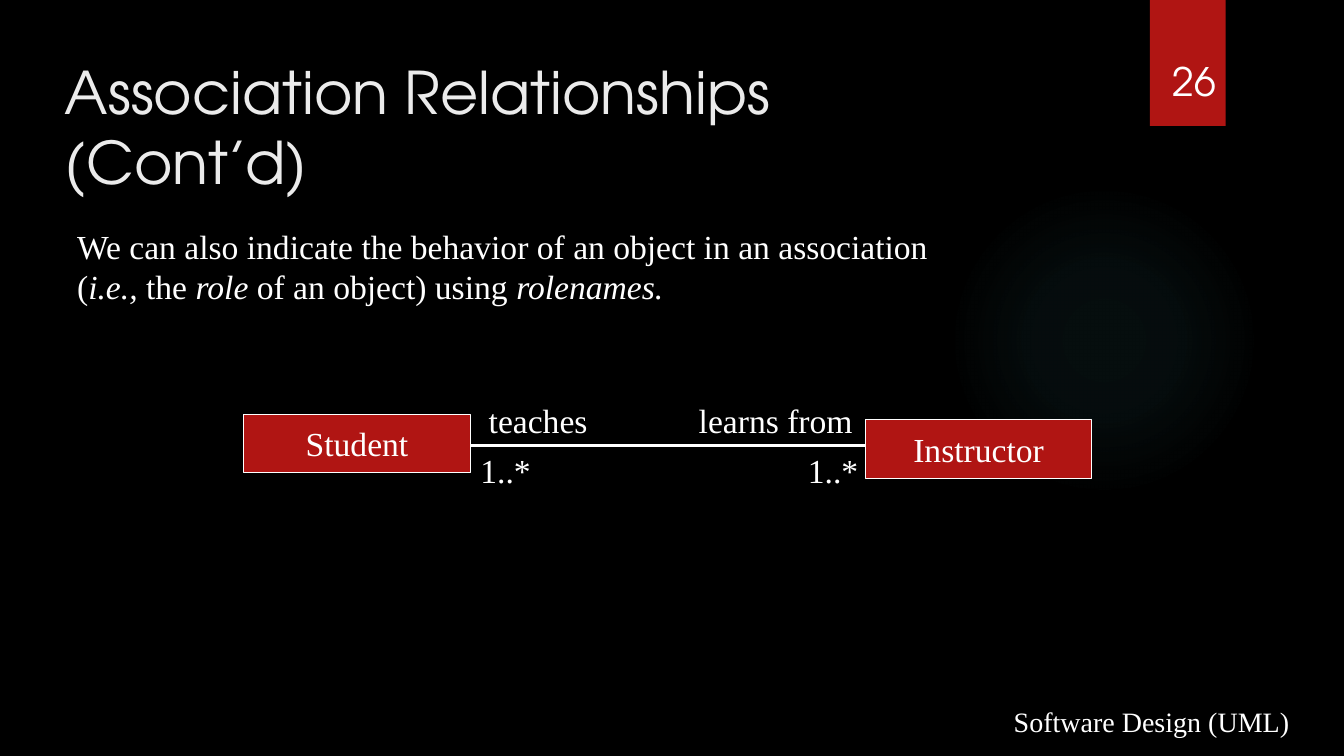
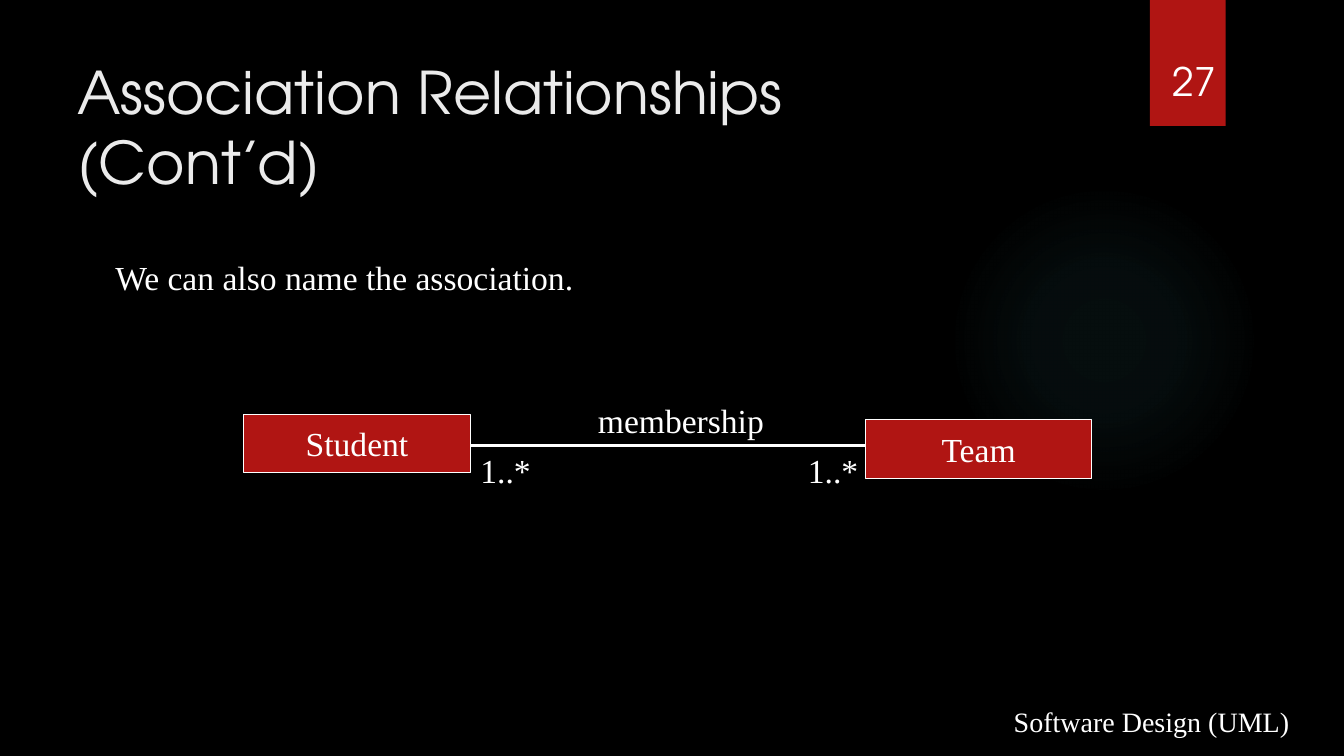
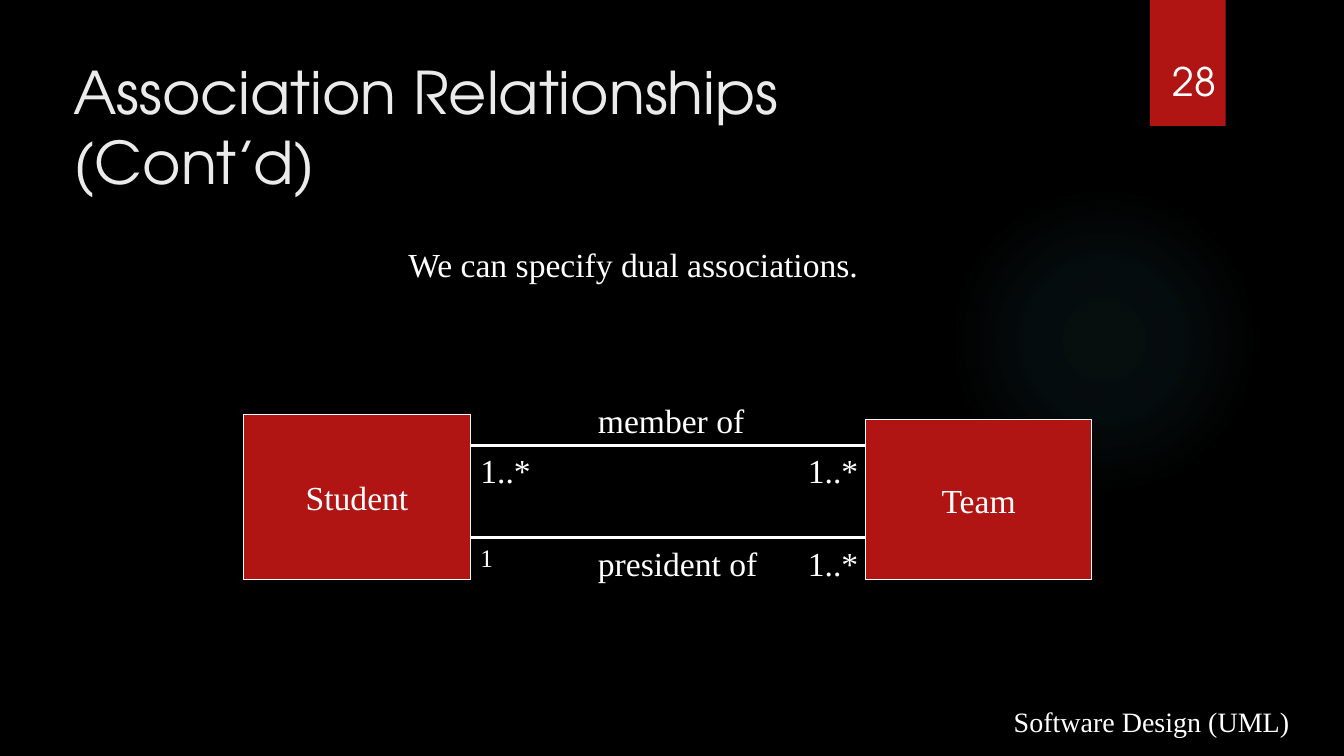
from dataclasses import dataclass

from lxml.etree import SubElement
from pptx import Presentation
from pptx.dml.color import RGBColor as RGB
from pptx.enum.shapes import MSO_CONNECTOR as CONN, MSO_SHAPE as SHAPE
from pptx.enum.text import MSO_ANCHOR as ANCHOR, MSO_AUTO_SIZE as FIT, PP_ALIGN as ALIGN
from pptx.oxml import parse_xml
from pptx.oxml.ns import nsdecls, qn
from pptx.util import Inches, Pt

UNIT = Inches(1) // 12
COLS, ROWS = 160, 90


@dataclass(frozen=True)
class Theme:
    back: str = "000000"
    red: str = "B01513"
    white: str = "FFFFFF"
    title: str = "EBEBEB"
    glow: str = "50B9C1"
    sans: str = "TeX Gyre Adventor"
    serif: str = "Times New Roman"
    head: int = 42
    page: int = 28
    body: int = 24
    foot: int = 20
    small: int = 18


THEME = Theme()
LEFT, RIGHT = 56, 103
BOX = 27
MANY = "1..*"
TITLE = "Association Relationships (Cont’d)"
FOOT = "Software Design (UML)"


def grid(*cells):
    return [round(cell * UNIT) for cell in cells]


def paint(fill, color):
    fill.solid()
    fill.fore_color.rgb = RGB.from_string(color)


def write(frame, text, size=THEME.body, face=THEME.serif, color=THEME.white,
          align=ALIGN.LEFT, anchor=ANCHOR.TOP, wrap=True):
    form = {"word_wrap": wrap, "auto_size": FIT.NONE, "vertical_anchor": anchor}
    for name, value in form.items():
        setattr(frame, name, value)
    para = frame.paragraphs[0]
    para.alignment = align
    for spot, part in enumerate(text.split("_")):
        if part:
            run = para.add_run()
            run.text = part
            style = {"name": face, "size": Pt(size), "italic": spot % 2 == 1}
            for name, value in style.items():
                setattr(run.font, name, value)
            run.font.color.rgb = RGB.from_string(color)


def label(slide, area, text, **style):
    write(slide.shapes.add_textbox(*grid(*area)).text_frame, text, **style)


def block(slide, kind, area, color):
    shape = slide.shapes.add_shape(kind, *grid(*area))
    shape.shadow.inherit = False
    paint(shape.fill, color)
    shape.line.fill.background()
    return shape


def node(slide, left, top, base, text):
    shape = block(slide, SHAPE.RECTANGLE, (left, top, BOX, base - top), THEME.red)
    paint(shape.line.fill, THEME.white)
    shape.line.width = Pt(0.75)
    write(shape.text_frame, text, align=ALIGN.CENTER, anchor=ANCHOR.MIDDLE, wrap=False)


def link(slide, row, near=MANY, size=THEME.body):
    line = slide.shapes.add_connector(CONN.STRAIGHT, *grid(LEFT, row, RIGHT, row))
    paint(line.line.fill, THEME.white)
    line.line.width = Pt(2.25)
    SubElement(line.element.spPr, qn("a:effectLst"))
    label(slide, (LEFT, row, 10, 6), near, size=size)
    label(slide, (95, row, 9, 6), MANY)


def pair(slide, other, drop=0):
    node(slide, RIGHT, 50, 57 + drop, other)
    node(slide, LEFT - BOX, 49.3, 56.3 + drop * 1.06, "Student")


def glow(shape):
    stops = "".join(
        f'<a:gs pos="{spot}000"><a:srgbClr val="{THEME.glow}">'
        f'<a:alpha val="{alpha}000"/></a:srgbClr></a:gs>'
        for spot, alpha in ((0, 7), (36, 6), (69, 0)))
    fill = parse_xml(
        f'<a:gradFill {nsdecls("a")}><a:gsLst>{stops}</a:gsLst><a:path path="circle">'
        '<a:fillToRect l="50000" t="50000" r="50000" b="50000"/></a:path></a:gradFill>')
    props = shape.element.spPr
    props.replace(props.find(qn("a:solidFill")), fill)


def dress(layout, slide):
    paint(layout.background.fill, THEME.back)
    halo = block(slide, SHAPE.OVAL, (112.9, 22, 37, 37), THEME.glow)
    glow(halo)
    band = block(slide, SHAPE.RECTANGLE, (136.9, 0, 9, 15), THEME.red)
    for spot, shape in enumerate((halo, band)):
        layout.shapes.element.insert(2 + spot, shape.element)


def frame(slide, page, left):
    title = slide.shapes.title
    spots = grid(left, 6, 106, 7)
    for name, value in zip(("left", "top", "width", "height"), spots):
        setattr(title, name, value)
    write(title.text_frame, TITLE, size=THEME.head, face=THEME.sans, color=THEME.title)
    label(slide, (119.5, 84.4, 40, 4), FOOT, size=THEME.foot, anchor=ANCHOR.BOTTOM)
    label(slide, (138.4, 6.2, 11, 9.5), str(page), size=THEME.page, face=THEME.sans)


def roles(slide):
    label(slide, (8, 26.3, 106.4, 11),
          "We can also indicate the behavior of an object in an association "
          "(_i.e.,_ the _role _of an object) using _rolenames._")
    link(slide, 53)
    pair(slide, "Instructor")
    label(slide, (82, 47, 21, 6), "learns from")
    label(slide, (57, 47, 15, 6), "teaches")


def named(slide):
    label(slide, (3, 30, 76, 6), "We can also name the association.", align=ALIGN.CENTER)
    link(slide, 53)
    pair(slide, "Team")
    label(slide, (70, 47, 23, 6), "membership")


def dual(slide):
    label(slide, (23.9, 28.5, 103, 6), "We can specify dual associations.",
          align=ALIGN.CENTER)
    link(slide, 53)
    link(slide, 64, near="1", size=THEME.small)
    pair(slide, "Team", drop=12)
    label(slide, (70, 47, 23, 6), "member of")
    label(slide, (70, 64, 23, 6), "president of")


def main():
    deck = Presentation()
    deck.slide_width, deck.slide_height = grid(COLS, ROWS)
    layout = deck.slide_layouts.get_by_name("Title Only")
    views = ((roles, 6.5), (named, 8), (dual, 7.5))
    for page, (draw, left) in enumerate(views, 26):
        slide = deck.slides.add_slide(layout)
        if page == 26:
            dress(layout, slide)
        frame(slide, page, left)
        draw(slide)
    deck.save("out.pptx")


if __name__ == "__main__":
    main()
